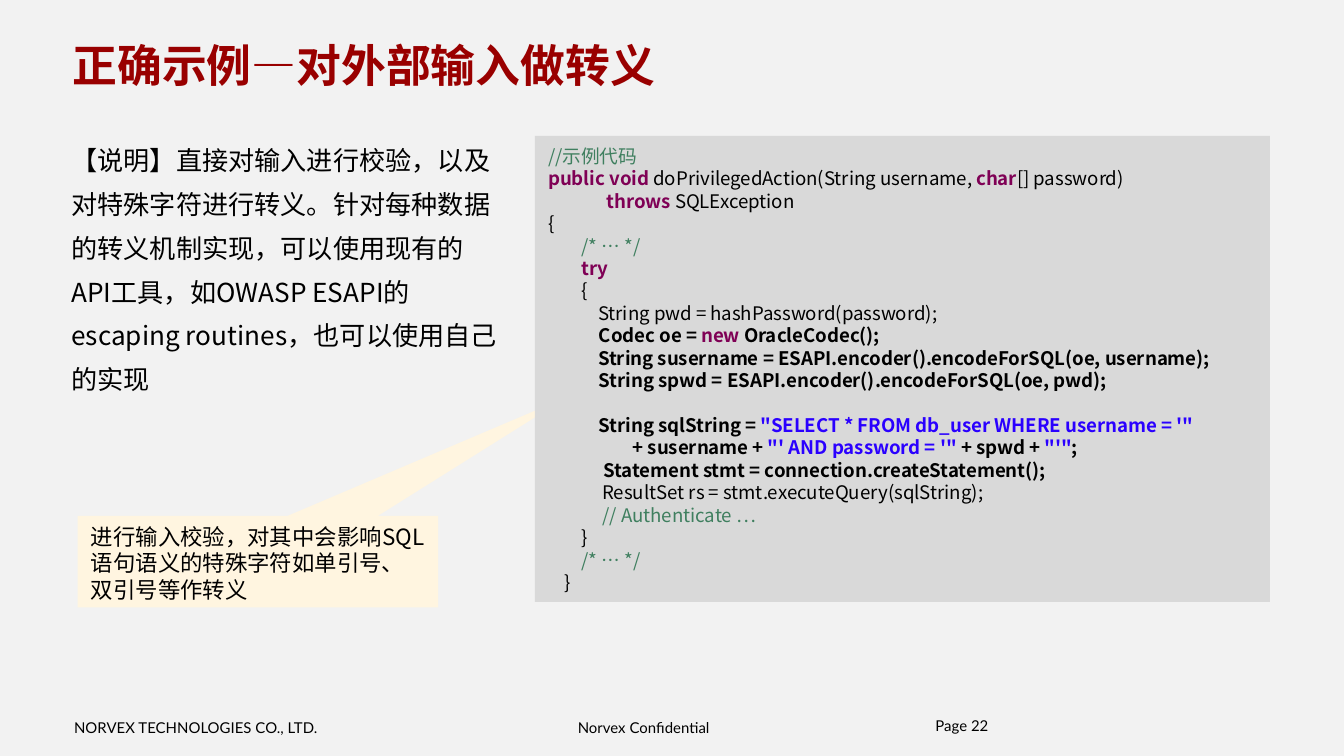
"""Build a slide showing how external input is escaped before it reaches SQL."""
from dataclasses import dataclass

from lxml.etree import SubElement
from pptx import Presentation
from pptx.dml.color import RGBColor
from pptx.enum.shapes import MSO_SHAPE as Preset
from pptx.enum.text import MSO_ANCHOR as Anchor, MSO_AUTO_SIZE as AutoSize, PP_ALIGN as Align
from pptx.oxml.ns import qn
from pptx.util import Cm, Pt


@dataclass(frozen=True)
class Theme:
    latin: str = "Lato"
    chinese: str = "Noto Sans CJK SC"
    background: str = "F2F2F2"
    ink: str = "000000"
    title: str = "990000"
    callout: str = "FFF5E0"
    panel: str = "D9D9D9"
    keyword: str = "7F0055"
    string: str = "2A00FF"
    comment: str = "3F7F5F"
    title_size: int = 24
    body_size: int = 14
    callout_size: int = 12
    code_size: int = 10
    footer_size: int = 8


THEME = Theme()

TITLE = "正确示例—对外部输入做转义"
EXPLANATION = (
    "【说明】直接对输入进行校验，以及对特殊字符进行转义。针对每种数据的转义机制实现，"
    "可以使用现有的API工具，如OWASP ESAPI的escaping routines，也可以使用自己的实现"
)
CALLOUT = "进行输入校验，对其中会影响SQL语句语义的特殊字符如单引号、双引号等作转义"
FOOTERS = [
    ("NORVEX TECHNOLOGIES CO., LTD.", (1.4, 13.59, 4.85, 0.34), (0, 0, 0.23, 0), 1),
    ("Norvex Confidential", (10.69, 13.59, 3.2, 0.34), (0.23, 0, 0.23, 0), 1),
    ("Page 22", (17.68, 13.59, 5.82, 0.94), (0, 0, 0, 0), 0.85),
]

STYLES = {
    "plain": (THEME.ink, False),
    "strong": (THEME.ink, True),
    "keyword": (THEME.keyword, True),
    "string": (THEME.string, True),
    "comment": (THEME.comment, False),
}
CODE = [
    [("comment", "//示例代码")],
    [("keyword", "public void "), ("plain", "doPrivilegedAction(String username, "),
     ("keyword", "char"), ("plain", "[] password)")],
    [("plain", "              "), ("keyword", "throws "), ("plain", "SQLException")],
    [("plain", "{")],
    [("comment", "        /* … */")],
    [("plain", "        "), ("keyword", "try")],
    [("plain", "        {")],
    [("plain", "            String pwd = hashPassword(password);")],
    [("strong", "            Codec oe = "), ("keyword", "new "), ("strong", "OracleCodec();")],
    [("plain", "            "),
     ("strong", "String susername = ESAPI.encoder().encodeForSQL(oe, username);")],
    [("strong", "            String spwd = ESAPI.encoder().encodeForSQL(oe, pwd);")],
    [],
    [("strong", "            String sqlString = "),
     ("string", "\"SELECT * FROM db_user WHERE username = '\"")],
    [("strong", "                    + susername + "), ("string", "\"' AND password = '\""),
     ("strong", " + spwd + "), ("string", "\"'\""), ("strong", ";")],
    [("strong", "             Statement stmt = connection.createStatement();")],
    [("plain", "             ResultSet rs = stmt.executeQuery(sqlString);")],
    [("comment", "             // Authenticate …")],
    [("plain", "        }")],
    [("comment", "        /* … */")],
    [("plain", "    }")],
]


def place(shape, box):
    shape.left, shape.top, shape.width, shape.height = map(Cm, box)


def prepare_frame(shape, insets, anchor=Anchor.TOP):
    frame = shape.text_frame
    frame.word_wrap = True
    frame.auto_size = AutoSize.NONE
    frame.vertical_anchor = anchor
    (frame.margin_left, frame.margin_top,
     frame.margin_right, frame.margin_bottom) = map(Cm, insets)
    return frame


def add_run(paragraph, text, size, color=THEME.ink, bold=False, typeface=THEME.chinese):
    run = paragraph.add_run()
    run.text = text
    font = run.font
    font.size, font.bold = Pt(size), bold
    font.color.rgb = RGBColor.from_string(color)
    font.name = typeface
    SubElement(run._r.get_or_add_rPr(), qn("a:ea"), typeface=THEME.chinese)


def add_text(slide, text, box, insets, size, spacing, typeface):
    shape = slide.shapes.add_textbox(*map(Cm, box))
    paragraph = prepare_frame(shape, insets).paragraphs[0]
    paragraph.line_spacing = spacing
    add_run(paragraph, text, size, typeface=typeface)
    return shape


def add_panel(slide, preset, box, fill):
    shape = slide.shapes.add_shape(preset, *map(Cm, box))
    shape.shadow.inherit = False
    shape.fill.solid()
    shape.fill.fore_color.rgb = RGBColor.from_string(fill)
    shape.line.fill.background()
    return shape


def add_title(slide):
    title = slide.shapes.title
    place(title, (1.19, 0.61, 22.4, 1.22))
    paragraph = prepare_frame(title, (0.18, 0.1, 0.18, 0.1), Anchor.MIDDLE).paragraphs[0]
    paragraph.alignment = Align.LEFT
    add_run(paragraph, TITLE, THEME.title_size, THEME.title, True, THEME.latin)


def add_callout(slide):
    callout = add_panel(slide, Preset.RECTANGULAR_CALLOUT, (1.47, 9.75, 6.81, 1.73), THEME.callout)
    callout.adjustments[0], callout.adjustments[1] = 0.86, -1.8
    paragraph = prepare_frame(callout, (0.25, 0.13, 0.25, 0.13)).paragraphs[0]
    paragraph.alignment = Align.LEFT
    add_run(paragraph, CALLOUT, THEME.callout_size)


def add_code(slide):
    panel = add_panel(slide, Preset.RECTANGLE, (10.11, 2.57, 13.89, 8.81), THEME.panel)
    frame = prepare_frame(panel, (0.25, 0.13, 0.25, 0.13), Anchor.MIDDLE)
    for index, line in enumerate(CODE):
        paragraph = frame.add_paragraph() if index else frame.paragraphs[0]
        paragraph.alignment = Align.LEFT
        paragraph.font.size = Pt(THEME.code_size)
        paragraph.font.name = THEME.chinese
        for style, text in line:
            add_run(paragraph, text, THEME.code_size, *STYLES[style])
        if not line:
            end = SubElement(paragraph._p, qn("a:endParaRPr"), sz=str(THEME.code_size * 100))
            SubElement(end, qn("a:latin"), typeface=THEME.chinese)


def main():
    presentation = Presentation()
    presentation.slide_width, presentation.slide_height = Cm(25.4), Cm(14.29)
    slide = presentation.slides.add_slide(presentation.slide_layouts[5])
    slide.background.fill.solid()
    slide.background.fill.fore_color.rgb = RGBColor.from_string(THEME.background)

    for text, box, insets, spacing in FOOTERS:
        add_text(slide, text, box, insets, THEME.footer_size, spacing, THEME.latin)
    add_title(slide)
    add_text(slide, EXPLANATION, (1.12, 2.39, 8.61, 5.26), (0.23, 0.1, 0.23, 0.1),
             THEME.body_size, 1.4, THEME.chinese)
    add_callout(slide)
    add_code(slide)
    presentation.save("out.pptx")


if __name__ == "__main__":
    main()
